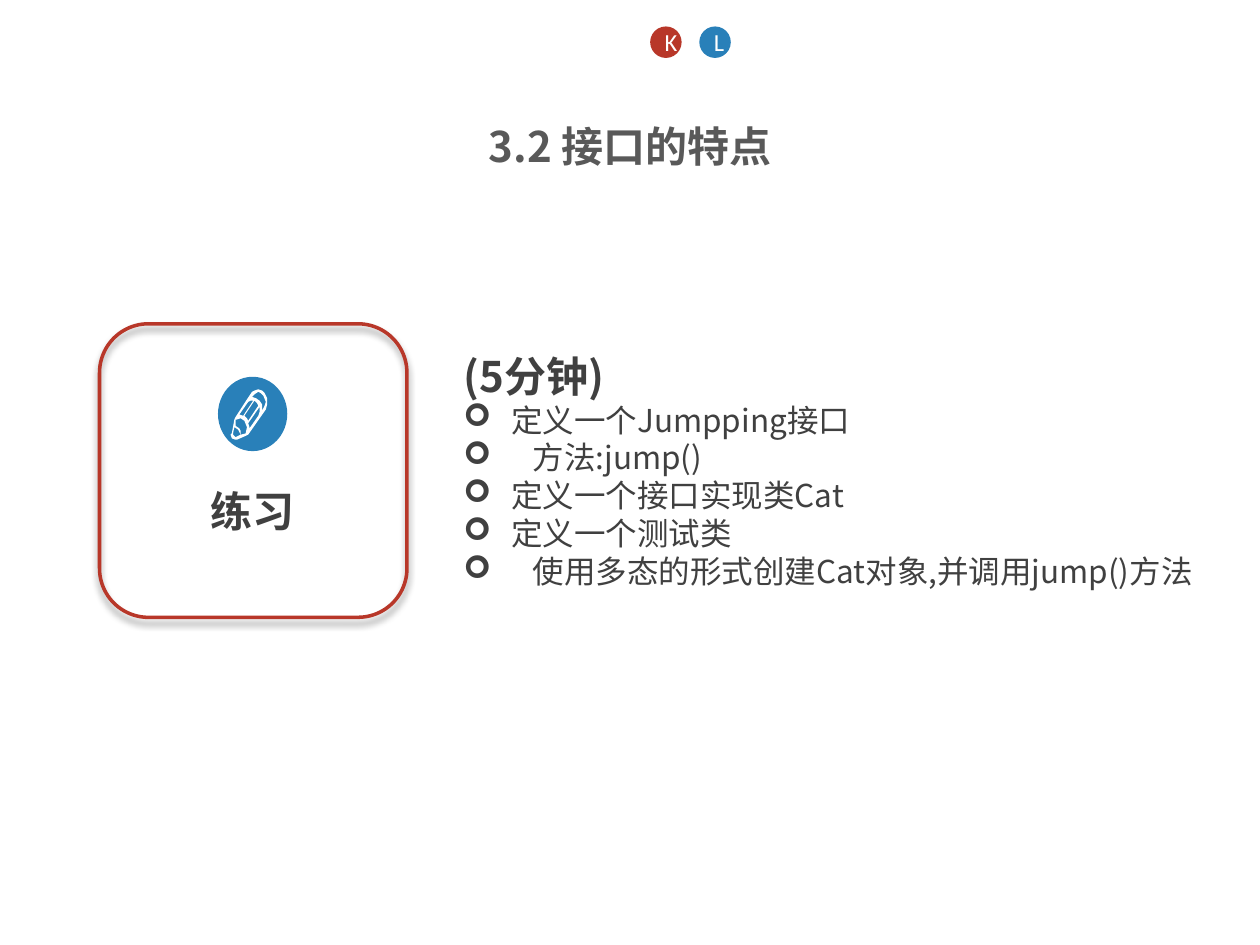
from lxml.etree import SubElement
from pptx import Presentation
from pptx.dml.color import RGBColor
from pptx.enum.shapes import MSO_SHAPE
from pptx.enum.text import MSO_ANCHOR, PP_ALIGN
from pptx.oxml import parse_xml
from pptx.oxml.ns import qn
from pptx.util import Inches, Pt

RED, BLUE, WHITE = "B83729", "2980B9", "FFFFFF"
DARK, GRAY = "404040", "595959"
NS = "http://schemas.openxmlformats.org/drawingml/2006/main"


def color(code):
    return RGBColor.from_string(code)


class Page:
    """Style and current slide; lengths are cells of a 100 by 75 grid."""
    sans, latin = "Noto Sans CJK SC", "Calibri"
    cell = Inches(0.1)

    def __init__(self, deck):
        self.slide = deck.slides.add_slide(deck.slide_layouts[5])
        self.shapes = self.slide.shapes

    def grid(self, *cells):
        return [round(n * self.cell) for n in cells]

    def font(self, para, size, tint, bold=False, name=None):
        font = para.font
        font.size, font.bold, font.name = Pt(size), bold, name or self.sans
        font.color.rgb = color(tint)
        SubElement(font._element, qn("a:ea")).set("typeface", font.name)

    def title(self, text, *box):
        head = self.slide.shapes.title
        head.left, head.top, head.width, head.height = self.grid(*box)
        frame = head.text_frame
        frame.text, frame.vertical_anchor = text, MSO_ANCHOR.MIDDLE
        frame.paragraphs[0].alignment = PP_ALIGN.CENTER
        self.font(frame.paragraphs[0], 24, GRAY, True)

    def text(self, text, *box, wrap=True):
        frame = self.shapes.add_textbox(*self.grid(*box)).text_frame
        frame.word_wrap, frame.text = wrap, text
        self.font(frame.paragraphs[0], 24, DARK, True)
        return frame

    def bullet(self, frame, text, indent):
        para = frame.add_paragraph()
        para.text = text
        props = para._p.get_or_add_pPr()
        props.set("marL", str(Inches(indent)))
        props.set("indent", str(-Inches(indent)))
        SubElement(props, qn("a:buFont")).set("typeface", "Wingdings")
        SubElement(props, qn("a:buChar")).set("char", "➢")
        self.font(para, 18, DARK)

    def paint(self, shape, fill):
        shape.shadow.inherit = False
        shape.fill.solid()
        shape.fill.fore_color.rgb = color(fill)
        shape.line.fill.background()

    def disc(self, fill, *box, text=""):
        shape = self.shapes.add_shape(MSO_SHAPE.OVAL, *self.grid(*box))
        self.paint(shape, fill)
        if text:
            frame = shape.text_frame
            frame.text, frame.vertical_anchor = text, MSO_ANCHOR.MIDDLE
            frame.paragraphs[0].alignment = PP_ALIGN.CENTER
            self.font(frame.paragraphs[0], 14, WHITE, name=self.latin)

    def frame(self, tint, *box):
        shape = self.shapes.add_shape(MSO_SHAPE.ROUNDED_RECTANGLE, *self.grid(*box))
        shape.fill.background()
        shape.line.color.rgb, shape.line.width = color(tint), Pt(2)
        shape.shadow.inherit = False
        old = shape._element.spPr.find(qn("a:effectLst"))
        old.append(parse_xml(
            f'<a:outerShdw xmlns:a="{NS}" blurRad="{Pt(4)}" dist="{Pt(3)}" dir="5400000"'
            ' rotWithShape="0"><a:srgbClr val="000000"><a:alpha val="40000"/>'
            '</a:srgbClr></a:outerShdw>'))

    def outline(self, fill, loops):
        first, *rest = loops
        pen = self.shapes.build_freeform(*first[0], scale=self.cell / 10)
        pen.add_line_segments(first[1:])
        for loop in rest:
            pen.move_to(*loop[0])
            pen.add_line_segments(loop[1:])
        self.paint(pen.convert_to_shape(), fill)


# Pencil outline, then its gaps, in hundredths of an inch
PENCIL = [
    [(210, 312), (208, 310), (205, 309), (202, 309.5), (200, 311), (196, 317),
     (187, 331), (186, 333), (184, 344), (183, 345), (184, 348), (187, 349),
     (188, 349), (195, 346), (197, 345), (211, 325), (212, 321), (212, 316)],
    [(209, 324), (208, 326), (208, 325), (207.5, 321), (206, 318), (203, 316),
     (200, 315), (202, 313), (205, 311), (207, 312), (209, 314), (211, 319),
     (210.5, 322)],
    [(191, 345), (191, 342), (190, 340), (187, 338), (187, 333), (188, 333),
     (191, 332), (194, 334), (196, 339), (195, 344)],
    [(187, 347), (185, 345), (185, 344), (186, 339), (189, 341), (191, 345)],
    [(193, 330), (190, 329), (197, 319), (199, 318), (201, 318)],
    [(197, 334), (196, 332), (194, 330), (202, 318), (204, 320), (205, 322)],
    [(198, 339), (197, 336), (206, 323), (206, 327), (205, 330), (198, 340)],
]

deck = Presentation()
deck.slide_width, deck.slide_height = Inches(10), Inches(7.5)
page = Page(deck)

# Heading and the two letter discs
page.title("3.2 接口的特点", 0, 9.2, 100, 4.7)
for step, (letter, fill) in enumerate([("K", RED), ("L", BLUE)]):
    page.disc(fill, 51.6 + 3.9 * step, 2.1, 2.5, 2.5, text=letter)

# Task list
task = page.text("(5分钟)", 35.8, 27.3, 68.2, 20.2)
for line, indent in [
    ("定义一个Jumpping接口", 0.38),
    ("方法:jump()", 0.55),
    ("定义一个接口实现类Cat", 0.38),
    ("定义一个测试类", 0.38),
    ("使用多态的形式创建Cat对象,并调用jump()方法", 0.55),
]:
    page.bullet(task, line, indent)

# Exercise card
page.shapes = page.slide.shapes.add_group_shape().shapes
label = page.text("练习", 15.7, 38.5, 8.7, 4.8, wrap=False).paragraphs[0]
label.line_spacing = 0.9
label.space_before = label.space_after = Pt(5)
page.disc(BLUE, 17.3, 29.9, 5.5, 5.9)
page.outline(WHITE, PENCIL)
page.frame(RED, 7.9, 25.7, 24.4, 23.3)

deck.save("out.pptx")
